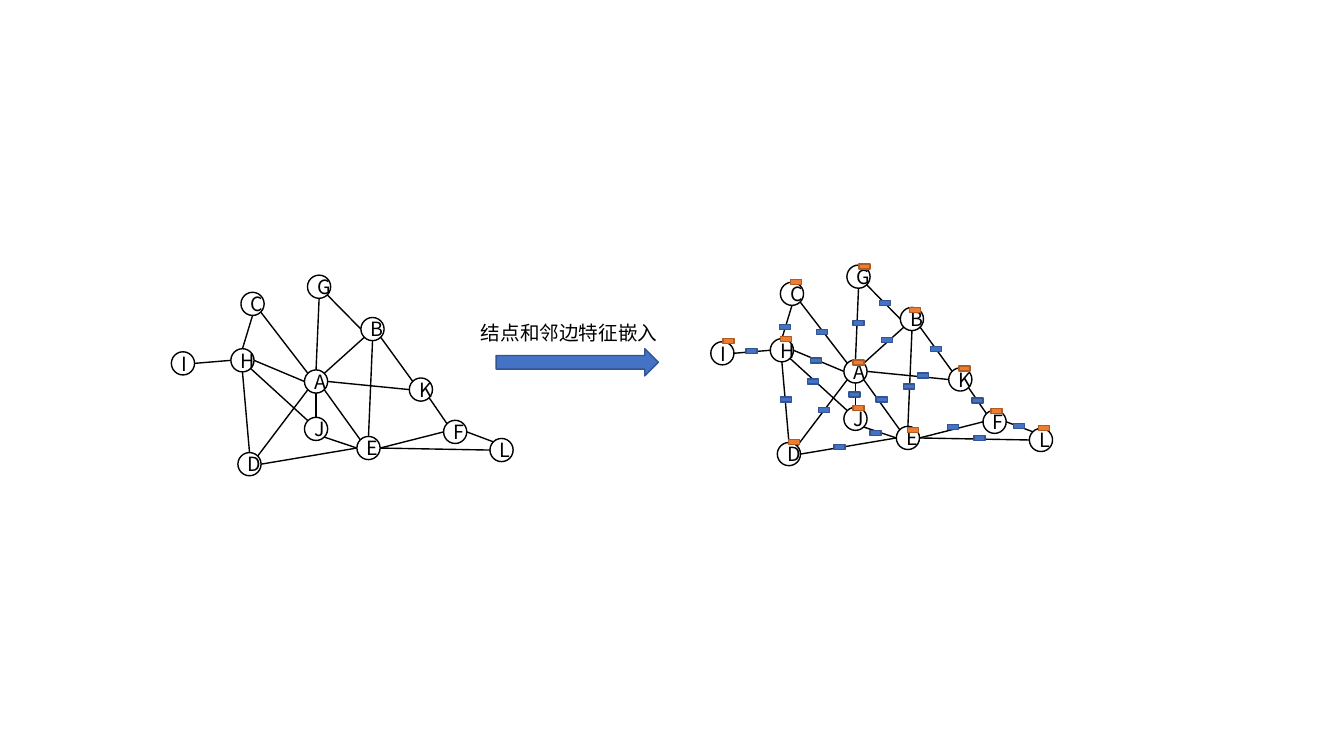
import math

import pptx
import pptx.dml.color
import pptx.enum.shapes
import pptx.enum.text
import pptx.util
from lxml import etree
from pptx.oxml.ns import qn

Inches = pptx.util.Inches
Shape = pptx.enum.shapes.MSO_SHAPE
FONT = "Noto Sans CJK SC"
COLORS = {"black": "000000", "white": "FFFFFF", "blue": "4472C4",
          "blue line": "325491", "orange": "ED7D31", "orange line": "AF5C24"}

# Content: node -> left, top in the plain graph; left, top of its feature tag
NODES = {
    "A": (3.02, 3.67, 8.46, 3.57), "B": (3.58, 3.15, 9.02, 3.05),
    "C": (2.39, 2.90, 7.84, 2.77), "D": (2.36, 4.49, 7.82, 4.36),
    "E": (3.54, 4.33, 9.00, 4.24), "F": (4.40, 4.17, 9.83, 4.05),
    "G": (3.05, 2.73, 8.52, 2.62), "H": (2.29, 3.46, 7.74, 3.34),
    "I": (1.70, 3.49, 7.17, 3.36), "J": (3.02, 4.14, 8.46, 4.02),
    "K": (4.06, 3.75, 9.51, 3.63), "L": (4.86, 4.35, 10.30, 4.22),
}
# Node and its side, twice; left, top of the edge's feature tag
EDGES = [
    ("C", "SE", "A", "NW", 8.10, 3.27), ("E", "NW", "A", "SE", 8.69, 3.94),
    ("B", "S", "E", "N", 8.96, 3.81), ("D", "NE", "A", "SW", 8.12, 4.04),
    ("B", "SW", "A", "NE", 8.74, 3.35), ("F", "W", "E", "E", 9.40, 4.21),
    ("D", "E", "E", "W", 8.27, 4.41), ("H", "N", "C", "S", 7.73, 3.22),
    ("A", "N", "G", "S", 8.46, 3.18), ("G", "SE", "B", "W", 8.72, 2.98),
    ("I", "E", "H", "W", 7.40, 3.46), ("A", "W", "H", "E", 8.04, 3.55),
    ("K", "W", "A", "E", 9.10, 3.70), ("F", "NW", "K", "SE", 9.64, 3.95),
    ("J", "N", "A", "S", 8.42, 3.89), ("E", "E", "L", "W", 9.66, 4.32),
    ("F", "E", "L", "NW", 10.05, 4.20), ("B", "SE", "K", "NW", 9.23, 3.44),
    ("H", "S", "D", "N", 7.74, 3.94), ("H", "SE", "J", "NW", 8.01, 3.76),
    ("J", "SE", "E", "W", 8.63, 4.27),
]
CAPTION = "结点和邻边特征嵌入"
SIDES = ["E", "SE", "S", "SW", "W", "NW", "N", "NE"]
DIAMETER = 0.23
TAG_WIDTH, TAG_HEIGHT = 0.11, 0.05
PLAIN_SHIFT, EMBEDDED_SHIFT = (0, 0), (5.35, -0.1)

deck = pptx.Presentation()
deck.slide_width, deck.slide_height = Inches(13.33), Inches(7.5)
page = deck.slides.add_slide(deck.slide_layouts[6])


def color(name):
    return pptx.dml.color.RGBColor.from_string(COLORS[name])


def set_line(line, name):
    line.color.rgb = color(name)
    line.width = pptx.util.Pt(1)


def add_filled(kind, left, top, width, height, fill, line):
    shape = page.shapes.add_shape(kind, *map(Inches, (left, top, width, height)))
    shape.shadow.inherit = False
    shape.fill.solid()
    shape.fill.fore_color.rgb = color(fill)
    set_line(shape.line, line)
    return shape


def write(box, text):
    paragraph = box.text_frame.paragraphs[0]
    paragraph.text = text
    paragraph.font.size = pptx.util.Pt(14)
    paragraph.font.name = FONT
    paragraph.font.color.rgb = color("black")
    # East Asian characters take their own typeface
    span = paragraph.runs[0]
    etree.SubElement(span.font._element, qn("a:ea"), typeface=FONT)
    return paragraph


def side_point(node, side, shift):
    angle = SIDES.index(side) * math.pi / 4
    left, top = NODES[node][:2]
    radius = DIAMETER / 2
    return (Inches(left + shift[0] + radius * (1 + math.cos(angle))),
            Inches(top + shift[1] + radius * (1 + math.sin(angle))))


def add_graph(shift):
    for start, start_side, end, end_side, *_ in EDGES:
        edge = page.shapes.add_connector(
            pptx.enum.shapes.MSO_CONNECTOR.STRAIGHT,
            *side_point(start, start_side, shift), *side_point(end, end_side, shift))
        set_line(edge.line, "black")
        etree.SubElement(edge._element.spPr, qn("a:effectLst"))
    for name, (left, top, *_) in NODES.items():
        node = add_filled(Shape.OVAL, left + shift[0], top + shift[1],
                          DIAMETER, DIAMETER, "white", "black")
        node.text_frame.vertical_anchor = pptx.enum.text.MSO_ANCHOR.MIDDLE
        write(node, name).alignment = pptx.enum.text.PP_ALIGN.CENTER


# Both graphs
add_graph(PLAIN_SHIFT)
add_graph(EMBEDDED_SHIFT)

# Feature tags: blue on edges, orange on nodes
for rows, fill in ((EDGES, "blue"), (NODES.values(), "orange")):
    for *_, left, top in rows:
        add_filled(Shape.RECTANGLE, left, top, TAG_WIDTH, TAG_HEIGHT,
                   fill, fill + " line")

# Arrow and caption between the graphs
add_filled(Shape.RIGHT_ARROW, 4.92, 3.46, 1.61, 0.27, "blue", "blue line")
caption = page.shapes.add_textbox(*map(Inches, (4.67, 3.13, 1.98, 0.34)))
caption.text_frame.word_wrap = True
write(caption, CAPTION)

deck.save("out.pptx")
